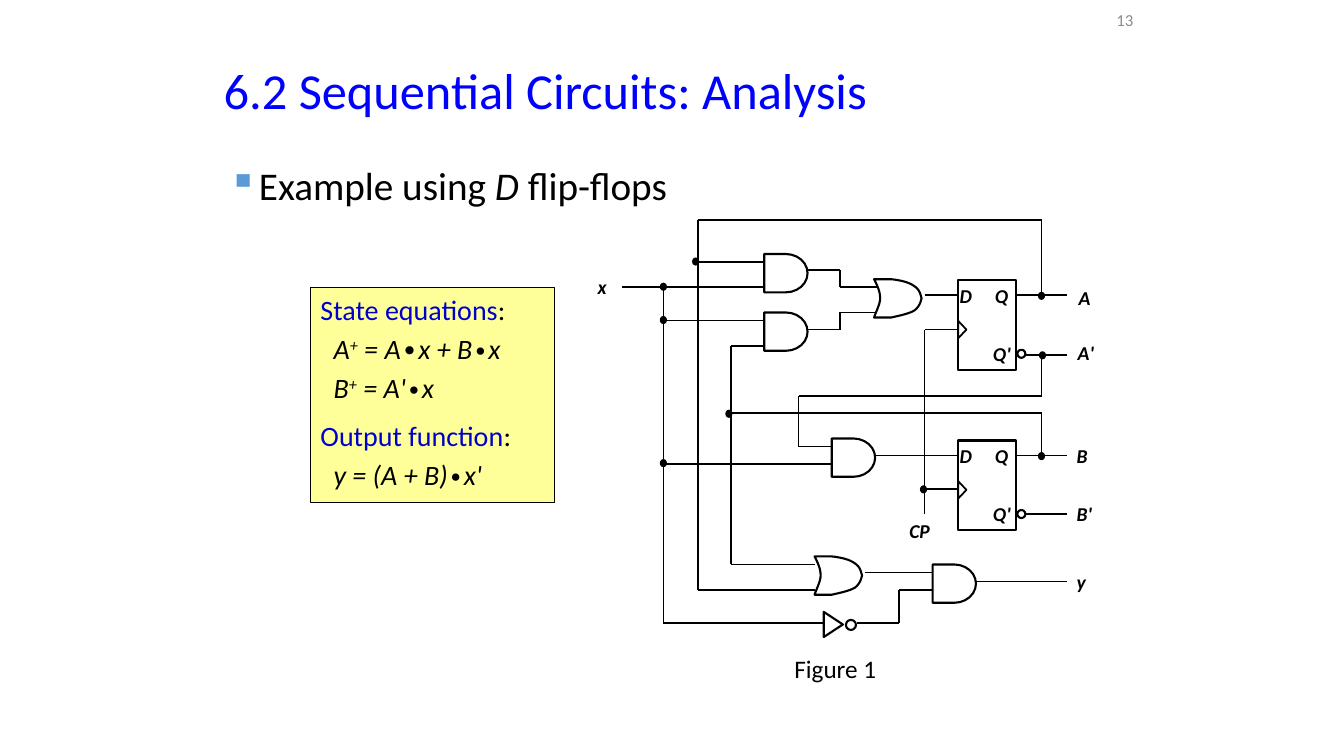
from itertools import pairwise

from lxml import etree
from pptx import Presentation
from pptx.dml.color import RGBColor
from pptx.enum.shapes import MSO_CONNECTOR, MSO_SHAPE as SHAPE
from pptx.enum.text import MSO_ANCHOR, PP_ALIGN
from pptx.oxml.ns import qn
from pptx.util import Inches, Pt

BLACK = RGBColor(0x00, 0x00, 0x00)
WHITE = RGBColor(0xFF, 0xFF, 0xFF)
GRAY = RGBColor(0x8C, 0x8C, 0x8C)
TITLE_BLUE = RGBColor(0x00, 0x00, 0xFF)
HEADING_BLUE = RGBColor(0x00, 0x00, 0xCC)
YELLOW = RGBColor(0xFF, 0xFF, 0x99)
FONT = "Calibri"

prs = Presentation()
prs.slide_width, prs.slide_height = Inches(13.33), Inches(7.5)
slide = prs.slides.add_slide(prs.slide_layouts[6])
shapes = slide.shapes


def add_label(text, x, y, w, h, size, color=BLACK, wrap=True):
    box = shapes.add_textbox(Inches(x), Inches(y), Inches(w), Inches(h))
    box.text_frame.word_wrap = wrap
    paragraph = box.text_frame.paragraphs[0]
    paragraph.text = text
    paragraph.font.name, paragraph.font.size = FONT, Pt(size)
    paragraph.font.color.rgb = color
    return box.text_frame


def add_outlined(preset, x, y, w, h, weight, fill=None, rotation=0):
    part = shapes.add_shape(preset, Inches(x), Inches(y), Inches(w), Inches(h))
    part.shadow.inherit = False
    part.rotation = rotation
    part.line.color.rgb, part.line.width = BLACK, Pt(weight)
    if fill is None:
        part.fill.background()
    else:
        part.fill.solid()
        part.fill.fore_color.rgb = fill
    return part


# Title, page number, bullet and caption
title = add_label("6.2 Sequential Circuits: Analysis", 2.12, 0.57, 9.21, 0.7, 36, TITLE_BLUE)
title.vertical_anchor = MSO_ANCHOR.MIDDLE
title.paragraphs[0].line_spacing = 0.9

page_number = add_label("13", 10.39, 0.02, 0.95, 0.36, 12, GRAY)
page_number.vertical_anchor = MSO_ANCHOR.MIDDLE
page_number.paragraphs[0].alignment = PP_ALIGN.RIGHT

example = add_label("Example using ", 2.17, 1.55, 9, 0.62, 28).paragraphs[0]
flip_flop_kind = example.add_run()
flip_flop_kind.text = "D"
flip_flop_kind.font.italic = True
example.add_run().text = " flip-flops"
bullet_props = example._p.get_or_add_pPr()
bullet_props.set("marL", str(Inches(0.3)))
bullet_props.set("indent", str(-Inches(0.3)))
bullet_color = etree.Element(qn("a:buClr"))
etree.SubElement(bullet_color, qn("a:srgbClr"), val="5B9BD5")
bullet_char = etree.Element(qn("a:buChar"), char="▪")
bullet_props.insert(0, bullet_color)
bullet_props.insert(1, bullet_char)

add_label("Figure 1", 7.78, 6.43, 1.25, 0.4, 18)

# Equations: "^" marks a superscript, a dot stands in its own smaller run
equations = add_outlined(SHAPE.RECTANGLE, 3.08, 2.85, 2.42, 2.14, 0.75, YELLOW).text_frame
equations.word_wrap = True
equations.vertical_anchor = MSO_ANCHOR.TOP
EQUATION_LINES = [
    ("State equations", ":"),
    ("A", "^+", " = A∙x + B", "∙", "x"),
    ("B", "^+", " = A'", "∙", "x"),
    ("Output function", ":"),
    ("y = (A + B)", "∙", "x'"),
]
for number, pieces in enumerate(EQUATION_LINES):
    line = equations.add_paragraph() if number else equations.paragraphs[0]
    is_heading = pieces[-1] == ":"
    line.alignment = PP_ALIGN.LEFT
    line.font.name, line.font.size = FONT, Pt(20)
    line.font.color.rgb = BLACK
    line.font.italic = not is_heading
    if number:
        line.space_before = Pt(10 if is_heading else 4)
    if not is_heading:
        line._p.get_or_add_pPr().set("marL", str(Inches(0.13)))
    for piece in pieces:
        run = line.add_run()
        run.text = piece.lstrip("^")
        if piece.startswith("^"):
            run._r.get_or_add_rPr().set("baseline", "30000")
        if piece == "∙":
            run.font.size = Pt(18)
        if is_heading and piece != ":":
            run.font.color.rgb = HEADING_BLUE

# Wires, each a chain of corner points
WIRES = [
    [(6.92, 5.85), (6.92, 2.18), (10.33, 2.18), (10.33, 2.93)],  # A feedback
    [(6.92, 5.85), (8.08, 5.85)],
    [(6.92, 2.6), (7.58, 2.6)],
    [(10.33, 3.52), (10.33, 3.93), (7.92, 3.93), (7.92, 4.43), (8.25, 4.43)],  # A'
    [(10.33, 4.52), (10.33, 4.1), (7.25, 4.1)],  # B feedback
    [(7.58, 3.43), (7.25, 3.43), (7.25, 5.6), (8.08, 5.6)],
    [(6.17, 2.85), (7.58, 2.85)],  # x
    [(6.58, 2.85), (6.58, 6.18), (8.17, 6.18)],
    [(6.58, 3.18), (7.58, 3.18)],
    [(6.58, 4.6), (8.25, 4.6)],
    [(8.5, 6.18), (8.92, 6.18), (8.92, 5.85), (9.25, 5.85)],  # x'
    [(8, 2.68), (8.33, 2.68), (8.33, 2.85), (8.7, 2.85)],  # gate outputs
    [(8, 3.27), (8.33, 3.27), (8.33, 3.1), (8.7, 3.1)],
    [(9.17, 2.93), (9.5, 2.93)],
    [(8.67, 4.52), (9.5, 4.52)],
    [(8.58, 5.68), (9.25, 5.68)],
    [(9.67, 5.77), (10.58, 5.77)],
    [(9.5, 3.27), (9.17, 3.27), (9.17, 5.1)],  # clock
    [(9.17, 4.85), (9.5, 4.85)],
    [(10.08, 2.93), (10.58, 2.93)],  # flip-flop outputs
    [(10.08, 3.52), (10.58, 3.52)],
    [(10.08, 4.52), (10.58, 4.52)],
    [(10.08, 5.1), (10.58, 5.1)],
]
for corners in WIRES:
    for (x1, y1), (x2, y2) in pairwise(corners):
        wire = shapes.add_connector(
            MSO_CONNECTOR.STRAIGHT, Inches(x1), Inches(y1), Inches(x2), Inches(y2))
        wire.line.color.rgb, wire.line.width = BLACK, Pt(1.25)
        etree.SubElement(wire._element.spPr, qn("a:effectLst"))

JUNCTIONS = [
    (6.9, 2.6), (6.58, 2.85), (6.58, 3.18), (6.58, 4.6), (7.23, 4.11),
    (9.16, 4.86), (10.33, 2.94), (10.34, 3.53), (10.33, 4.53),
]
for x, y in JUNCTIONS:
    add_outlined(SHAPE.OVAL, x - 0.03, y - 0.04, 0.06, 0.07, 0.75, BLACK)

# AND gates
for x, y in [(7.58, 2.52), (7.58, 3.1), (8.25, 4.35), (9.25, 5.6)]:
    add_outlined(SHAPE.FLOWCHART_DELAY, x, y, 0.43, 0.38, 1.5)

# OR gates: cubic curves clockwise from the upper shoulder, relative to the corner
OR_CURVES = [
    [(0.17, 0), (0.26, 0.01), (0.35, 0.03), (0.4, 0.07)],
    [(0.4, 0.07), (0.45, 0.1), (0.46, 0.15), (0.47, 0.19)],
    [(0.47, 0.19), (0.46, 0.23), (0.45, 0.27), (0.4, 0.31)],
    [(0.4, 0.31), (0.35, 0.34), (0.26, 0.36), (0.17, 0.38)],
    [(0, 0.38), (0.01, 0.34), (0.06, 0.25), (0.06, 0.19)],
    [(0.06, 0.19), (0.06, 0.12), (0.03, 0.06), (0, 0)],
]
STEPS = 8
or_outline = []
for curve in OR_CURVES:
    for step in range(STEPS + 1):
        t = step / STEPS
        weights = ((1 - t) ** 3, 3 * t * (1 - t) ** 2, 3 * t * t * (1 - t), t ** 3)
        or_outline.append([sum(k * p[axis] for k, p in zip(weights, curve)) for axis in (0, 1)])
for left, top in [(8.67, 2.77), (8.08, 5.52)]:
    points = [(Inches(left + x), Inches(top + y)) for x, y in or_outline]
    builder = shapes.build_freeform(*points[0])
    builder.add_line_segments(points[1:], close=True)
    or_gate = builder.convert_to_shape()
    or_gate.shadow.inherit = False
    or_gate.fill.background()
    or_gate.line.color.rgb, or_gate.line.width = BLACK, Pt(1.5)

# Inverter
add_outlined(SHAPE.FLOWCHART_EXTRACT, 8.14, 6.1, 0.25, 0.19, 1.5, rotation=90)
add_outlined(SHAPE.OVAL, 8.39, 6.15, 0.1, 0.1, 1.5)

# Flip-flops and signal names
signals = [
    ("A", 10.6, 2.79, 0.32), ("A'", 10.59, 3.33, 0.37), ("B", 10.58, 4.35, 0.31),
    ("B'", 10.58, 4.93, 0.36), ("y", 10.58, 5.6, 0.3), ("x", 5.83, 2.68, 0.29),
    ("CP", 8.92, 5.1, 0.41),
]
for top in (2.78, 4.37):
    add_outlined(SHAPE.RECTANGLE, 9.5, top, 0.58, 0.89, 1.5)
    add_outlined(SHAPE.ISOSCELES_TRIANGLE, 9.46, top + 0.45, 0.17, 0.08, 1.25, rotation=90)
    add_outlined(SHAPE.OVAL, 10.09, top + 0.69, 0.08, 0.08, 1.5, WHITE)
    signals += [("D", 9.42, top - 0.01, 0.33), ("Q", 9.77, top - 0.01, 0.34),
                ("Q'", 9.75, top + 0.56, 0.39)]
for name, x, y, width in signals:
    signal = add_label(name, x, y, width, 0.34, 14, wrap=False).paragraphs[0]
    signal.font.bold = signal.font.italic = True

prs.save("out.pptx")
